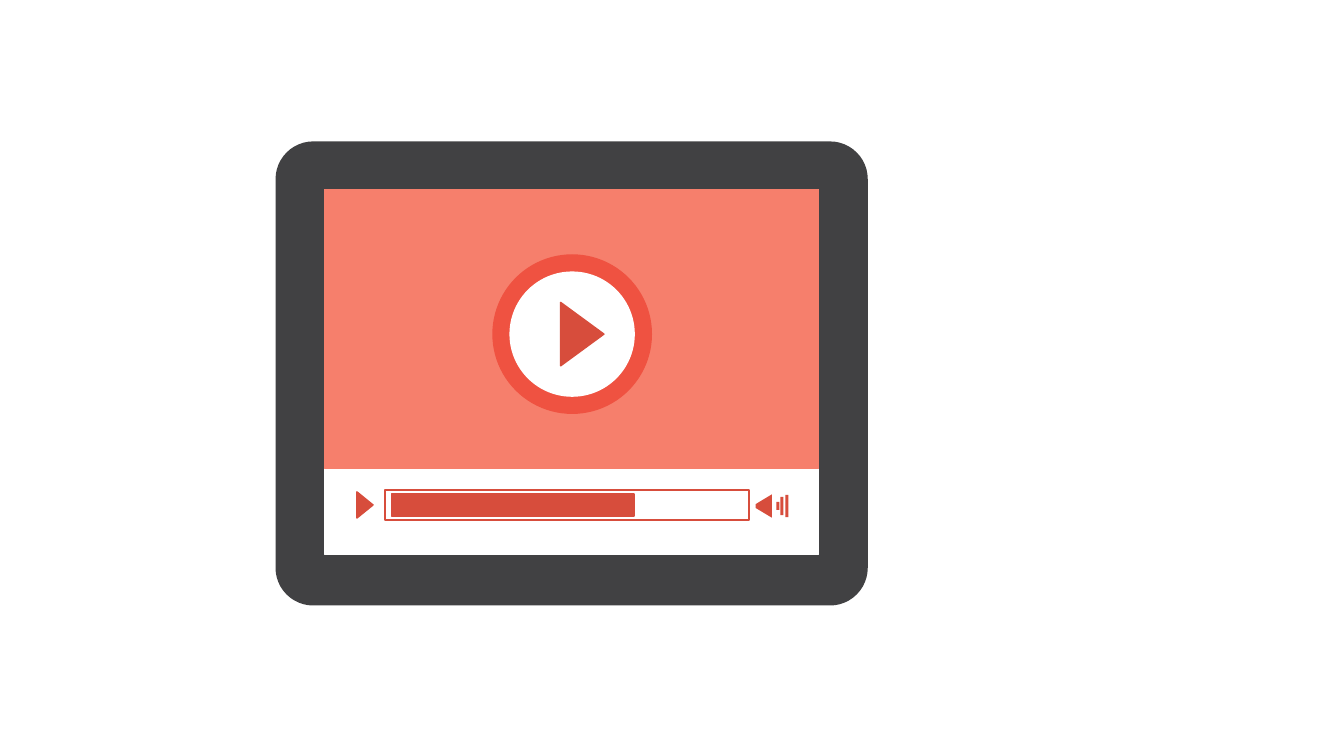
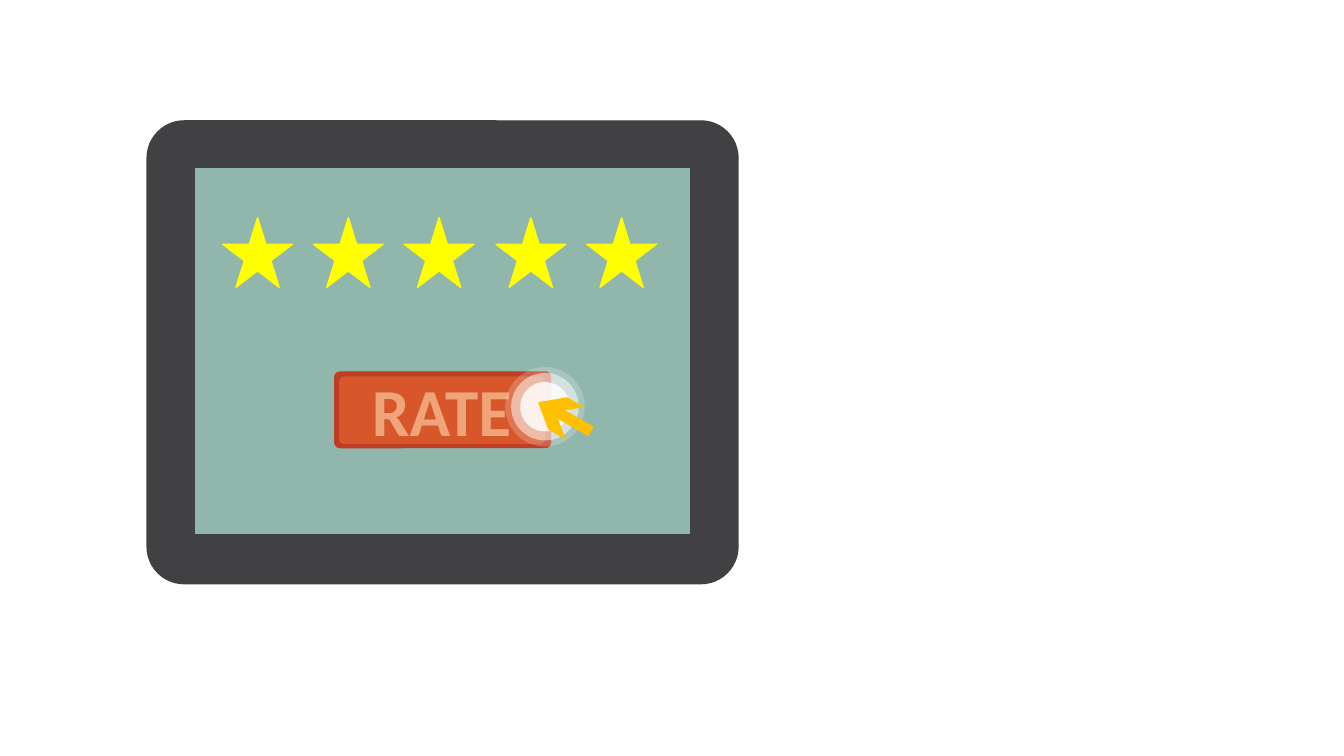
from lxml import etree
from pptx import Presentation
from pptx import util as u
from pptx.dml.color import RGBColor
from pptx.enum import shapes, text
from pptx.oxml.ns import qn

PX = 9144
KIND = shapes.MSO_SHAPE


def px(length):
    return u.Emu(length * PX)


def rgb(value):
    return RGBColor.from_string(value)


class Deck:
    FONT = "Calibri"
    CASING = "414143"
    WHITE = "FFFFFF"
    RED = "D74D3C"
    YELLOW = "FFFF00"
    AMBER = "FFC000"

    def __init__(self, width, height):
        self.show = Presentation()
        self.show.slide_width = px(width)
        self.show.slide_height = px(height)
        self.slide = None
        self.layer = None

    def new_slide(self):
        self.slide = self.show.slides.add_slide(self.show.slide_layouts[6])
        self.layer = self.slide.shapes

    def start_group(self):
        self.layer = self.slide.shapes.add_group_shape().shapes

    def shape(self, kind, left, top, width, height, fill=None, line=None,
              turn=0, adjust=None, opacity=100):
        item = self.layer.add_shape(kind, px(left), px(top), px(width), px(height))
        item.shadow.inherit = False
        item.rotation = turn
        if adjust is not None:
            item.adjustments[0] = adjust
        if fill:
            item.fill.solid()
            item.fill.fore_color.rgb = rgb(fill)
            if opacity < 100:
                colour = item.fill._xPr.find(".//" + qn("a:srgbClr"))
                etree.SubElement(colour, qn("a:alpha"), val=str(opacity * 1000))
        else:
            item.fill.background()
        if line:
            item.line.color.rgb = rgb(line)
            item.line.width = u.Pt(1)
        else:
            item.line.fill.background()

    def solid(self, kind, left, top, width, height, colour, **options):
        self.shape(kind, left, top, width, height, colour, colour, **options)

    def label(self, left, top, width, height, words, size, colour):
        box = self.layer.add_textbox(px(left), px(top), px(width), px(height))
        frame = box.text_frame
        frame.word_wrap = False
        frame.auto_size = text.MSO_AUTO_SIZE.SHAPE_TO_FIT_TEXT
        run = frame.paragraphs[0].add_run()
        run.text = words
        run.font.name = self.FONT
        run.font.size = u.Pt(size)
        run.font.bold = True
        run.font.color.rgb = rgb(colour)

    def tablet(self, left, top, screen):
        self.solid(KIND.ROUNDED_RECTANGLE, left, top, 586, 459, self.CASING, adjust=0.08)
        self.solid(KIND.RECTANGLE, left + 48, top + 47, 490, 362, screen)

    def disc(self, centre_x, centre_y, size, colour, opacity=100, outlined=False):
        self.shape(KIND.OVAL, centre_x - size // 2, centre_y - size // 2, size, size,
                   colour, colour if outlined else None, opacity=opacity)

    def play_mark(self, left, top, width, height):
        self.solid(KIND.ISOSCELES_TRIANGLE, left, top, width, height, self.RED, turn=90)

    def save(self):
        self.show.save("out.pptx")


def video_slide(deck):
    deck.new_slide()
    deck.tablet(274, 141, deck.WHITE)
    deck.solid(KIND.RECTANGLE, 322, 188, 490, 277, "F67F6C")
    for size, colour in ((157, "EF5241"), (123, deck.WHITE)):
        deck.disc(567, 331, size, colour, outlined=True)
    deck.play_mark(546, 310, 63, 43)
    deck.play_mark(349, 493, 26, 16)
    deck.shape(KIND.RECTANGLE, 382, 486, 361, 30, line=deck.RED)
    deck.solid(KIND.RECTANGLE, 388, 490, 241, 22, deck.RED)
    deck.shape(KIND.TRAPEZOID, 746, 494, 23, 16, deck.RED, turn=270, adjust=0.6)
    for left, height in ((770, 8), (774, 18), (779, 22)):
        deck.shape(KIND.RECTANGLE, left, 502 - height // 2, 3, height, deck.RED)


def rating_slide(deck):
    deck.new_slide()
    deck.tablet(146, 120, "91B7AD")

    deck.start_group()
    first_star, last_star, stars = 221, 582, 5
    for index in range(stars):
        left = first_star + round(index * (last_star - first_star) / (stars - 1))
        deck.solid(KIND.STAR_5_POINT, left, 216, 69, 69, deck.YELLOW)

    deck.start_group()
    deck.solid(KIND.ROUNDED_RECTANGLE, 332, 369, 214, 75, "BD3E25", adjust=0.07)
    deck.solid(KIND.ROUNDED_RECTANGLE, 337, 374, 203, 66, "D7562A", adjust=0.07)
    deck.label(359, 361, 160, 91, "RATE", 48, "F0A47A")

    deck.start_group()
    for size, opacity in ((79, 20), (67, 50), (49, 80)):
        deck.disc(540, 403, size, deck.WHITE, opacity)

    deck.start_group()
    pointer_turn = 209.7
    deck.shape(KIND.RECTANGLE, 547, 412, 42, 11, deck.AMBER, turn=pointer_turn)
    deck.shape(KIND.CHEVRON, 531, 391, 42, 37, deck.AMBER, turn=pointer_turn, adjust=0.6)


def main():
    deck = Deck(1333, 750)
    video_slide(deck)
    rating_slide(deck)
    deck.save()


if __name__ == "__main__":
    main()
